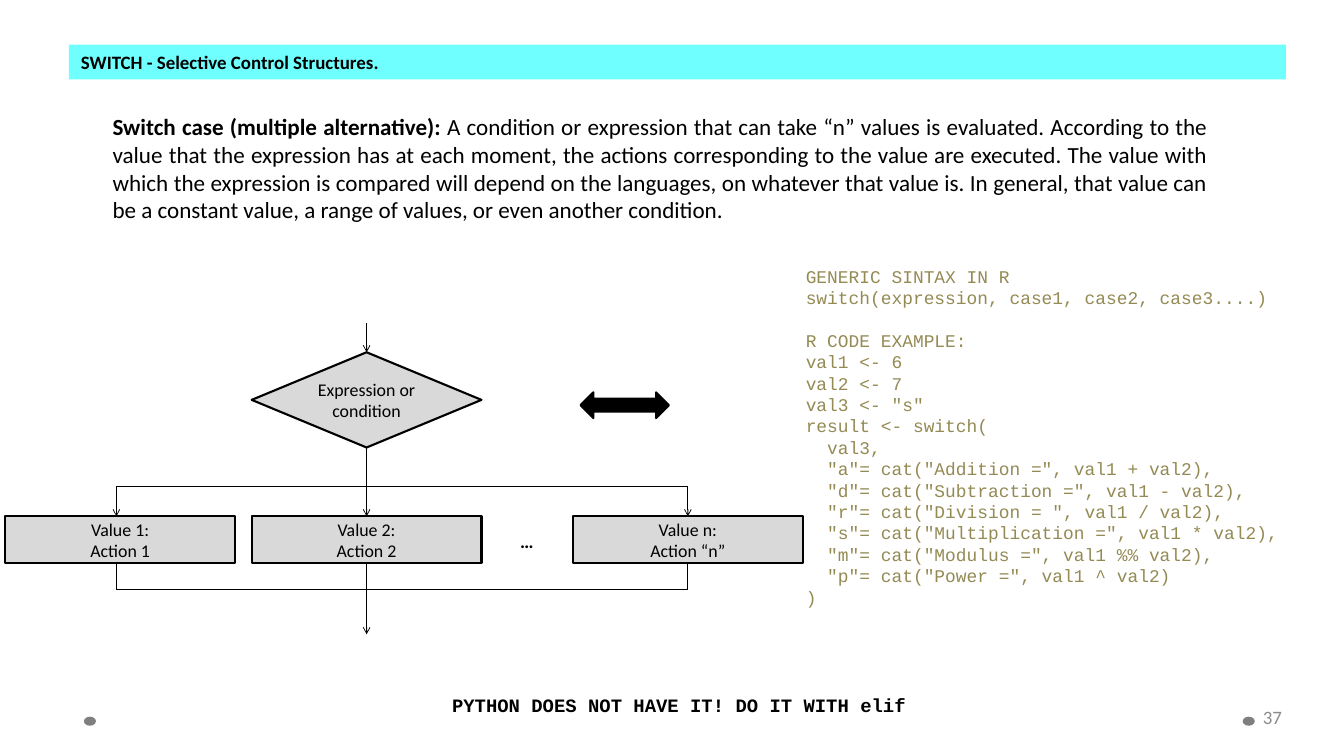
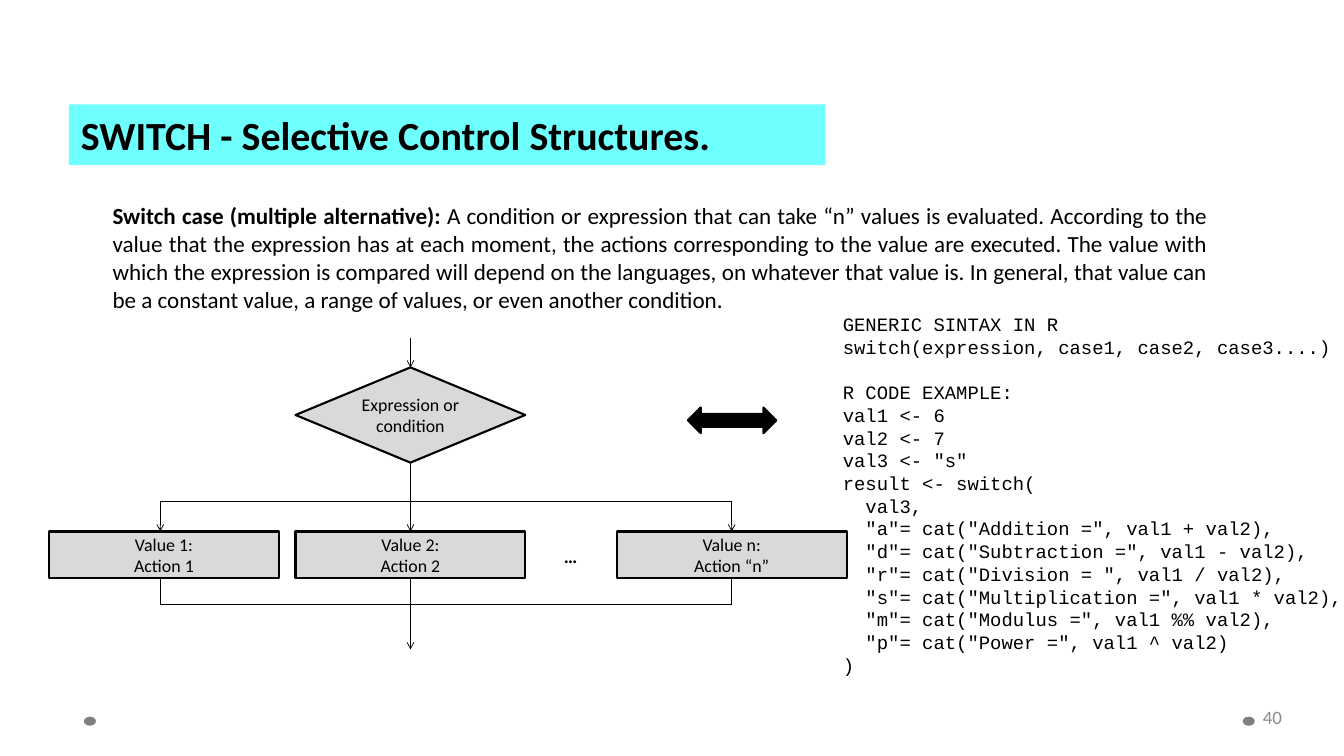
from lxml.etree import SubElement
from pptx import Presentation
from pptx.dml.color import RGBColor
from pptx.enum.shapes import MSO_CONNECTOR, MSO_SHAPE
from pptx.enum.text import MSO_ANCHOR, MSO_AUTO_SIZE, PP_ALIGN
from pptx.oxml.ns import qn
from pptx.util import Inches, Pt

COLOURS = {
    "band": "00FFFF",
    "text": "000000",
    "line": "000000",
    "box": "D9D9D9",
    "dot": "7F7F7F",
    "number": "8C8C8C",
    "olive": "948A54",
}
BODY_FONT = "Calibri"
CODE_FONT = "Courier New"
WIDE_INSETS = (0.16, 0.08)
BOX_WIDTH, BOX_HEIGHT = 3.04, 0.62
DIAMOND_HEIGHT = 1.26

TITLE = "SWITCH - Selective Control Structures."
DEFINITION = [
    ("Switch case (multiple alternative): ", True),
    ("A condition or expression that can take “n” values is evaluated. "
     "According to the value that the expression has at each moment, the actions "
     "corresponding to the value are executed. The value with which the expression "
     "is compared will depend on the languages, on whatever that value is. In general, "
     "that value can be a constant value, a range of values, or even another condition.",
     False),
]
SYNTAX = """GENERIC SINTAX IN R
switch(expression, case1, case2, case3....)"""
EXAMPLE = """R CODE EXAMPLE:
val1 <- 6
val2 <- 7
val3 <- "s"
result <- switch(
  val3,
  "a"= cat("Addition =", val1 + val2),
  "d"= cat("Subtraction =", val1 - val2),
  "r"= cat("Division = ", val1 / val2),
  "s"= cat("Multiplication =", val1 * val2),
  "m"= cat("Modulus =", val1 %% val2),
  "p"= cat("Power =", val1 ^ val2)
)"""


def colour(name):
    return RGBColor.from_string(COLOURS[name])


def prepare_frame(shape, insets, anchor=MSO_ANCHOR.TOP, wrap=True):
    frame = shape.text_frame
    frame.auto_size = MSO_AUTO_SIZE.NONE
    frame.word_wrap = wrap
    frame.vertical_anchor = anchor
    frame.margin_left = frame.margin_right = Inches(insets[0])
    frame.margin_top = frame.margin_bottom = Inches(insets[1])
    return frame


def write(frame, paragraphs, size, align, font=BODY_FONT, color="text"):
    """Fill the frame; each paragraph is a list of (text, bold) runs."""
    for index, runs in enumerate(paragraphs):
        paragraph = frame.add_paragraph() if index else frame.paragraphs[0]
        paragraph.alignment = align
        for text, bold in runs:
            run = paragraph.add_run()
            run.text = text
            run.font.name = font
            run.font.size = Pt(size)
            run.font.bold = bold
            run.font.color.rgb = colour(color)


def add_text(slide, place, paragraphs, size, align, insets=WIDE_INSETS, wrap=True, **style):
    box = slide.shapes.add_textbox(*map(Inches, place))
    frame = prepare_frame(box, insets, wrap=wrap)
    write(frame, paragraphs, size, align, **style)
    return frame


def add_shape(slide, kind, place, fill, outlined=True):
    shape = slide.shapes.add_shape(kind, *map(Inches, place))
    shape.shadow.inherit = False
    shape.fill.solid()
    shape.fill.fore_color.rgb = colour(fill)
    if outlined:
        shape.line.color.rgb = colour("line")
        shape.line.width = Pt(2)
    else:
        shape.line.fill.background()
    return shape


def add_node(slide, kind, place, lines, insets=WIDE_INSETS):
    node = add_shape(slide, kind, place, "box")
    frame = prepare_frame(node, insets, MSO_ANCHOR.MIDDLE)
    write(frame, [[(line, False)] for line in lines], 17, PP_ALIGN.CENTER)
    return node


def add_line(slide, start, end, arrow=False, source=None, target=None):
    """Draw a line; source leaves from its bottom, target is met at its top."""
    connector = slide.shapes.add_connector(
        MSO_CONNECTOR.STRAIGHT, *map(Inches, (*start, *end)))
    connector.line.color.rgb = colour("line")
    connector.line.width = Pt(0.75)
    properties = connector._element.spPr
    if arrow:
        SubElement(properties.find(qn("a:ln")), qn("a:tailEnd"), type="arrow")
    SubElement(properties, qn("a:effectLst"))
    if source is not None:
        connector.begin_connect(source, 2)
    if target is not None:
        connector.end_connect(target, 0)


def add_title(slide, place, size):
    title = slide.shapes.title
    title.left, title.top, title.width, title.height = map(Inches, place)
    title.fill.solid()
    title.fill.fore_color.rgb = colour("band")
    band_colour = title._element.spPr.find(qn("a:solidFill"))[0]
    SubElement(band_colour, qn("a:alpha"), val="56000")
    frame = prepare_frame(title, WIDE_INSETS)
    write(frame, [[(TITLE, True)]], size, PP_ALIGN.LEFT)


def add_footer(slide, number):
    for left in (1.11, 16.44):
        add_shape(slide, MSO_SHAPE.OVAL, (left, 9.48, 0.16, 0.12), "dot", outlined=False)
    add_text(slide, (12.81, 9.33, 4.15, 0.3), [[(str(number), False)]], 18,
             PP_ALIGN.RIGHT, insets=(0, 0), color="number")


def add_flowchart(slide, left, top):
    """Draw the multiple-choice flow; left and top place the decision diamond."""
    middle = left + BOX_WIDTH / 2
    first, last = middle - 3.31, middle + 4.25
    split, box_top, merge = top + 1.77, top + 2.17, top + 3.14
    box_bottom = box_top + BOX_HEIGHT

    decision = add_node(slide, MSO_SHAPE.FLOWCHART_DECISION,
                        (left, top, BOX_WIDTH, DIAMOND_HEIGHT),
                        ["Expression or condition"], insets=(0.1, 0.05))
    first_box, second_box, last_box = [
        add_node(slide, MSO_SHAPE.RECTANGLE,
                 (left + shift, box_top, BOX_WIDTH, BOX_HEIGHT),
                 [f"Value {value}:", f"Action {action}"])
        for shift, value, action in ((-3.26, "1", "1"), (0, "2", "2"), (4.25, "n", "“n”"))
    ]
    add_text(slide, (left + BOX_WIDTH, top + 2.26, 1.2, 0.46), [[("…", True)]],
             18, PP_ALIGN.CENTER)

    add_line(slide, (middle, top - 0.39), (middle, top), arrow=True, target=decision)
    add_line(slide, (middle, top + DIAMOND_HEIGHT), (middle, box_top), arrow=True,
             source=decision, target=second_box)
    add_line(slide, (middle, box_bottom), (middle, top + 3.73), arrow=True,
             source=second_box)
    add_line(slide, (first, split), (first, box_top), arrow=True)
    add_line(slide, (last, split), (last, box_top), arrow=True, target=last_box)
    add_line(slide, (first, box_bottom), (first, merge))
    add_line(slide, (last, box_bottom), (last, merge), source=last_box)
    for level in (split, merge):
        add_line(slide, (last, level), (first, level))


def add_code(slide, place, size, color):
    syntax, example = SYNTAX.splitlines(), EXAMPLE.splitlines()
    frame = add_text(slide, place, [[(line, False)] for line in syntax + example],
                     size, PP_ALIGN.JUSTIFY, font=CODE_FONT, color=color)
    line_height = Pt(size * 1.2)
    for paragraph in frame.paragraphs:
        paragraph.line_spacing = line_height
    frame.paragraphs[len(syntax)].space_before = line_height


def add_switch_slide(presentation, number, band, title_size, definition_top,
                     diamond, arrow_left, code, code_size, code_color):
    slide = presentation.slides.add_slide(presentation.slide_layouts[5])
    add_title(slide, band, title_size)
    add_footer(slide, number)
    add_text(slide, (1.33, definition_top, 14.8, 1.64), [DEFINITION], 22, PP_ALIGN.JUSTIFY)
    add_flowchart(slide, *diamond)
    add_shape(slide, MSO_SHAPE.LEFT_RIGHT_ARROW,
              (arrow_left, diamond[1] + 0.53, 1.17, 0.34), "line")
    add_code(slide, code, code_size, code_color)
    return slide


def main():
    presentation = Presentation()
    presentation.slide_width, presentation.slide_height = Inches(17.78), Inches(10)

    slide = add_switch_slide(
        presentation, 37, band=(0.91, 0.59, 16.1, 0.46), title_size=18,
        definition_top=1.41, diamond=(3.33, 4.66), arrow_left=7.68,
        code=(10.5, 3.43, 7.77, 4.74), code_size=17, code_color="olive")
    add_text(slide, (5.82, 9.09, 6.35, 0.46),
             [[("PYTHON DOES NOT HAVE IT! DO IT WITH elif", True)]],
             18, PP_ALIGN.JUSTIFY, wrap=False, font=CODE_FONT)

    add_switch_slide(
        presentation, 40, band=(0.91, 1.38, 10.01, 0.8), title_size=38,
        definition_top=2.59, diamond=(3.91, 4.86), arrow_left=9.1,
        code=(10.99, 4.06, 7.77, 5.01), code_size=18, code_color="text")

    presentation.save("out.pptx")


if __name__ == "__main__":
    main()
